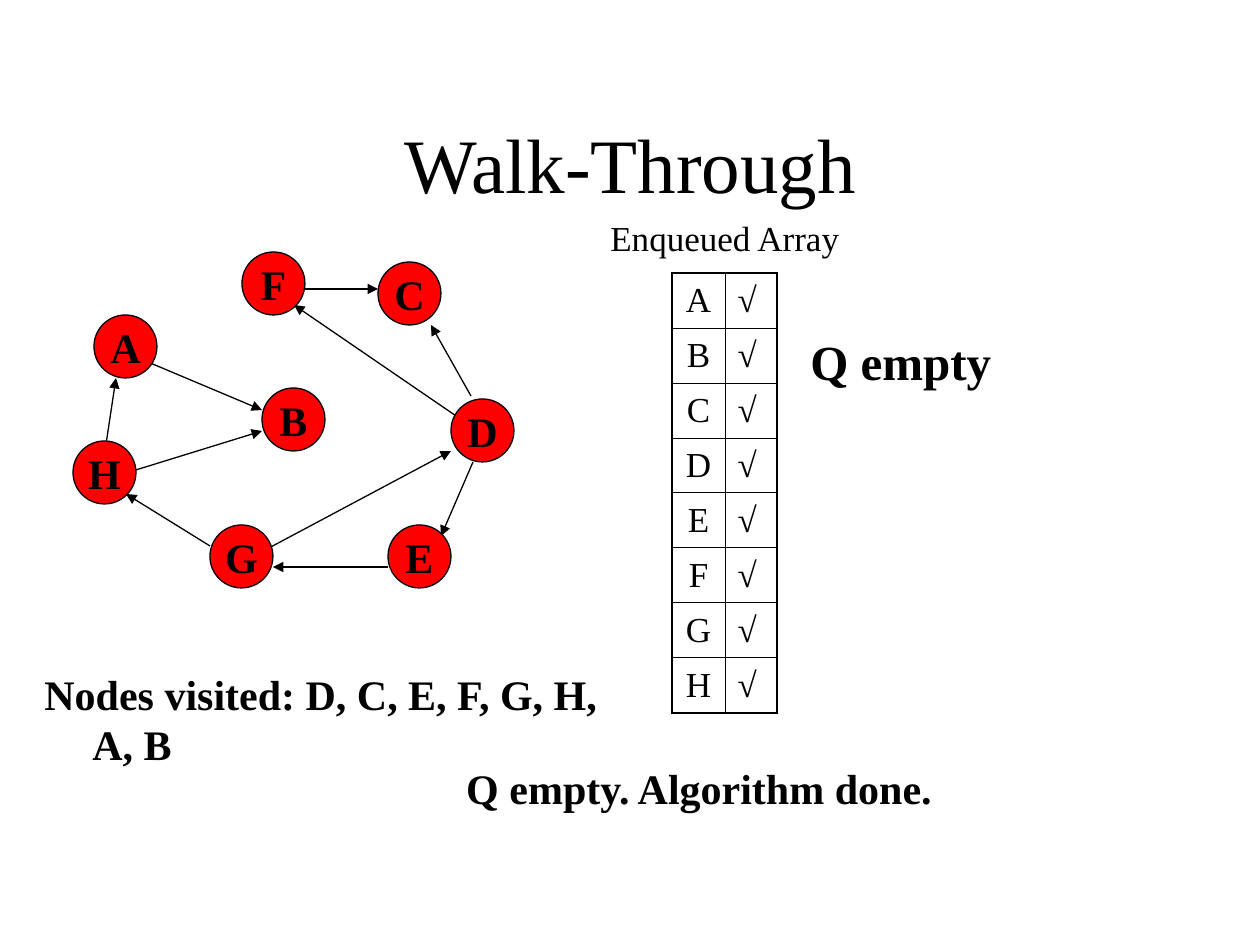
import pptx
import pptx.util
import pptx.dml.color
import pptx.enum.text
import pptx.enum.shapes
import pptx.oxml
import pptx.oxml.ns

SCALE = 914400 / 126
Pt = pptx.util.Pt
ALIGN = pptx.enum.text.PP_ALIGN
ANCHOR = pptx.enum.text.MSO_ANCHOR
FIT = pptx.enum.text.MSO_AUTO_SIZE
SHAPE = pptx.enum.shapes.MSO_SHAPE
LINE = pptx.enum.shapes.MSO_CONNECTOR


def px(*vals):
    return [pptx.util.Emu(round(v * SCALE)) for v in vals]


def color(text):
    return pptx.dml.color.RGBColor.from_string(text)


def child(parent, tag, **attrs):
    node = pptx.oxml.parse_xml(f"<{tag} {pptx.oxml.ns.nsdecls('a')}/>")
    for key, val in attrs.items():
        node.set(key, str(val))
    parent.append(node)
    return node


def write(frame, text, size, bold=False, align=ALIGN.LEFT, before=0, hang=0):
    para = frame.paragraphs[0]
    para.text = text
    para.alignment = align
    para.space_before = Pt(before)
    font = para.font
    font.name = "Times New Roman"
    font.size = Pt(size)
    font.bold = bold
    font.color.rgb = color("000000")
    if hang:
        props = para._p.get_or_add_pPr()
        props.set("marL", str(px(hang)[0]))
        props.set("indent", str(-px(hang)[0]))


def label(slide, box, text, size, anchor=ANCHOR.TOP, fit=FIT.SHAPE_TO_FIT_TEXT, **style):
    frame = slide.shapes.add_textbox(*px(*box)).text_frame
    frame.word_wrap = True
    frame.auto_size = fit
    frame.vertical_anchor = anchor
    write(frame, text, size, **style)


def stroke(line):
    line.color.rgb = color("000000")
    line.width = Pt(0.74)


def arrow(slide, x1, y1, x2, y2):
    link = slide.shapes.add_connector(LINE.STRAIGHT, *px(x1, y1, x2, y2))
    stroke(link.line)
    child(link.line._get_or_add_ln(), "a:tailEnd", type="triangle")
    child(link._element.spPr, "a:effectLst")


def circle(slide, x, y, name):
    node = slide.shapes.add_shape(SHAPE.OVAL, *px(x, y, 63, 63))
    node.shadow.inherit = False
    node.fill.solid()
    node.fill.fore_color.rgb = color("FF0000")
    stroke(node.line)
    frame = node.text_frame
    frame.word_wrap = False
    frame.vertical_anchor = ANCHOR.MIDDLE
    write(frame, name, 24, bold=True, align=ALIGN.CENTER, before=6)


def graph(slide, left, top):
    edges = [
        (389, 168, 221, 53), (400, 210, 368, 284), (53, 221, 189, 179),
        (179, 305, 378, 199), (32, 199, 43, 126), (63, 105, 189, 158),
        (398, 144, 358, 73), (315, 315, 200, 315), (137, 294, 53, 242),
        (232, 37, 305, 37),
    ]
    nodes = {
        "A": (21, 63), "H": (0, 189), "B": (189, 136), "F": (169, 0),
        "E": (315, 273), "D": (378, 147), "C": (305, 10), "G": (137, 273),
    }
    for x1, y1, x2, y2 in edges:
        arrow(slide, left + x1, top + y1, left + x2, top + y2)
    for name, (x, y) in nodes.items():
        circle(slide, left + x, top + y, name)


def border(cell, outer):
    props = cell._tc.get_or_add_tcPr()
    for side in "LRTB":
        width = Pt(1.08 if side in outer else 0.45)
        edge = child(props, f"a:ln{side}", w=int(width))
        child(child(edge, "a:solidFill"), "a:srgbClr", val="000000")


def array(slide, left, top):
    names = "ABCDEFGH"
    label(slide, (left, top, 262, 55), "Enqueued Array", 20, before=12.5)
    box = px(left + 74, top + 63, 105, 55 * len(names))
    table = slide.shapes.add_table(len(names), 2, *box).table
    table.first_row = False
    table.horz_banding = False
    for col, width in zip(table.columns, px(53, 52)):
        col.width = width
    for r, name in enumerate(names):
        table.rows[r].height = px(55)[0]
        ends = ("T" if r == 0 else "") + ("B" if r == len(names) - 1 else "")
        for c, (text, align) in enumerate([(name, ALIGN.CENTER), ("√", ALIGN.LEFT)]):
            cell = table.cell(r, c)
            cell.vertical_anchor = ANCHOR.MIDDLE
            write(cell.text_frame, text, 20, align=align, before=5)
            border(cell, "LR"[c] + ends)
            cell.fill.background()


def notes(slide, left, top):
    label(slide, (left + 179, top + 94, 976, 63), "Q empty. Algorithm done.", 24,
          bold=True, align=ALIGN.CENTER, before=15, hang=48)
    label(slide, (left, top, 620, 113), "Nodes visited: D, C, E, F, G, H, A, B", 24,
          bold=True, before=15, hang=48)


def main():
    deck = pptx.Presentation()
    deck.slide_width, deck.slide_height = px(1260, 945)
    slide = deck.slides.add_slide(deck.slide_layouts[6])
    label(slide, (95, 84, 1071, 158), "Walk-Through", 44, anchor=ANCHOR.MIDDLE,
          fit=FIT.NONE, align=ALIGN.CENTER)
    graph(slide, 73, 252)
    array(slide, 598, 210)
    label(slide, (798, 325, 431, 72), "Q empty", 28, bold=True, before=17.5, hang=48)
    notes(slide, 32, 662)
    deck.save("out.pptx")


main()
